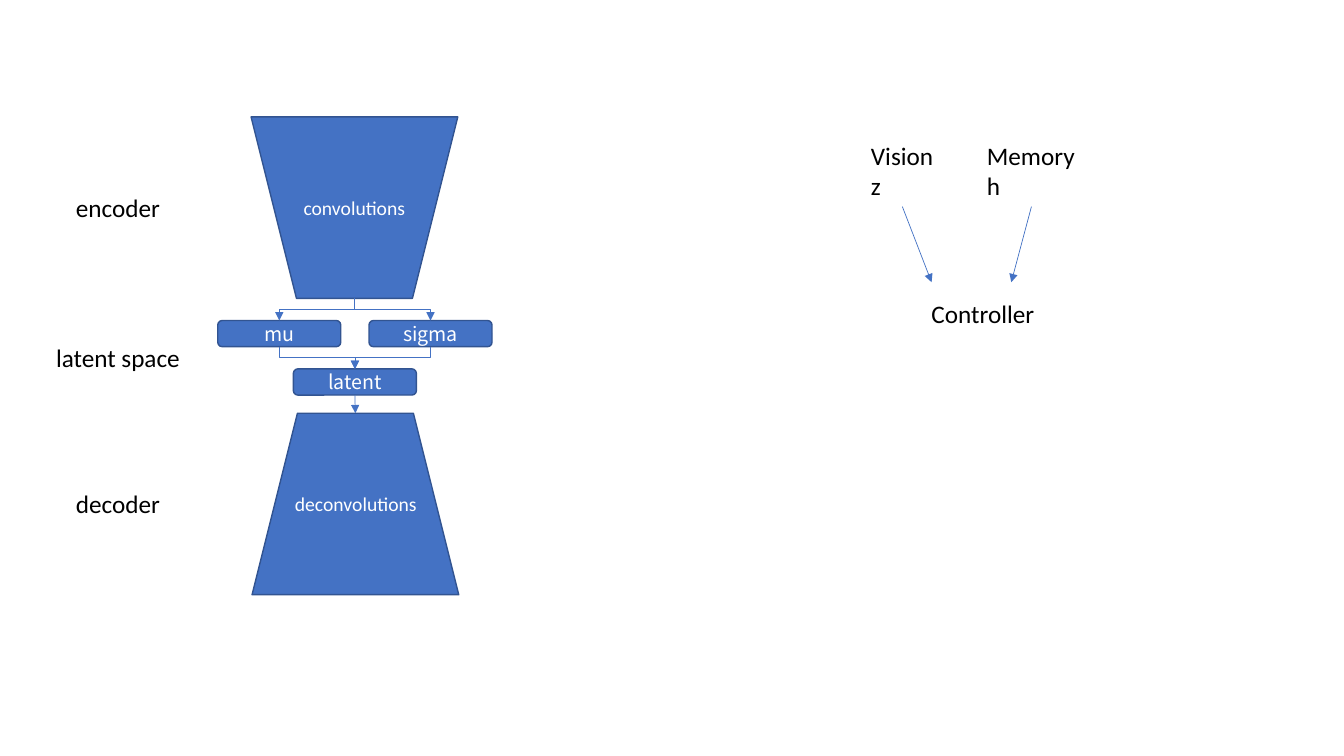
import dataclasses

import lxml.etree
import pptx
import pptx.dml.color
import pptx.enum.shapes
import pptx.enum.text
import pptx.oxml.ns
import pptx.util

Inches = pptx.util.Inches
ShapeKind = pptx.enum.shapes.MSO_SHAPE
ConnectorKind = pptx.enum.shapes.MSO_CONNECTOR
Align = pptx.enum.text.PP_ALIGN
TOP, BOTTOM = 0, 2


def color(value):
    return pptx.dml.color.RGBColor.from_string(value)


@dataclasses.dataclass
class Theme:
    fill = color("4472C4")
    outline = color("325491")
    light = color("FFFFFF")
    dark = color("000000")
    font = "Calibri"
    box_font = "Noto Sans CJK JP"
    label_size = pptx.util.Pt(18)
    shape_size = pptx.util.Pt(14)
    outline_width = pptx.util.Pt(1)
    arrow_width = pptx.util.Pt(0.5)


class DiagramSlide:
    def __init__(self, presentation, theme):
        self.theme = theme
        self.slide = presentation.slides.add_slide(presentation.slide_layouts[6])

    def set_text(self, shape, text, font, size, text_color, alignment):
        shape.text_frame.text = text
        for paragraph in shape.text_frame.paragraphs:
            paragraph.alignment = alignment
            for run in paragraph.runs:
                run.font.name = font
                run.font.size = size
                run.font.color.rgb = text_color

    def filled(self, shapes, kind, left, top, width, height, outlined=True):
        shape = shapes.add_shape(kind, Inches(left), Inches(top), Inches(width), Inches(height))
        shape.shadow.inherit = False
        shape.fill.solid()
        shape.fill.fore_color.rgb = self.theme.fill
        if outlined:
            shape.line.color.rgb = self.theme.outline
            shape.line.width = self.theme.outline_width
        else:
            shape.line.fill.background()
        return shape

    def box(self, text, left, top, width, height, font, shapes=None, outlined=True):
        shapes = shapes or self.slide.shapes
        shape = self.filled(shapes, ShapeKind.ROUNDED_RECTANGLE, left, top, width, height, outlined)
        shape.text_frame.word_wrap = True
        shape.text_frame.vertical_anchor = pptx.enum.text.MSO_ANCHOR.MIDDLE
        self.set_text(shape, text, font, self.theme.shape_size, self.theme.light, Align.CENTER)
        return shape

    def network(self, text, left, top, label_left, label_width, rotation=0):
        group = self.slide.shapes.add_group_shape()
        trapezoid = self.filled(group.shapes, ShapeKind.TRAPEZOID, left, top, 2.05, 1.8)
        trapezoid.rotation = rotation
        self.box(text, label_left, top + 0.66, label_width, 0.48, self.theme.font, group.shapes, False)
        return trapezoid

    def label(self, text, left, top, width, height, alignment=Align.LEFT, wrap=True):
        shape = self.slide.shapes.add_textbox(Inches(left), Inches(top), Inches(width), Inches(height))
        shape.text_frame.word_wrap = wrap
        shape.text_frame.auto_size = pptx.enum.text.MSO_AUTO_SIZE.SHAPE_TO_FIT_TEXT
        self.set_text(shape, text, self.theme.font, self.theme.label_size, self.theme.dark, alignment)

    def arrow(self, start, end, kind=ConnectorKind.STRAIGHT):
        connector = self.slide.shapes.add_connector(kind, *start, *end)
        connector.line.color.rgb = self.theme.fill
        connector.line.width = self.theme.arrow_width
        properties = connector._element.spPr
        line = properties.find(pptx.oxml.ns.qn("a:ln"))
        lxml.etree.SubElement(line, pptx.oxml.ns.qn("a:tailEnd"), type="triangle")
        lxml.etree.SubElement(properties, pptx.oxml.ns.qn("a:effectLst"))
        return connector

    def join(self, source, target, kind=ConnectorKind.STRAIGHT):
        start = source.left + source.width // 2, source.top + source.height
        end = target.left + target.width // 2, target.top
        connector = self.arrow(start, end, kind)
        connector.begin_connect(source, TOP if source.rotation else BOTTOM)
        connector.end_connect(target, TOP)
        if kind == ConnectorKind.ELBOW:
            self.turn_downwards(connector, start, end)

    def turn_downwards(self, connector, start, end):
        across, down = end[0] - start[0], end[1] - start[1]
        connector.width, connector.height = down, abs(across)
        connector.left = (start[0] + end[0] - down) // 2
        connector.top = (start[1] + end[1] - abs(across)) // 2
        transform = connector._element.spPr.find(pptx.oxml.ns.qn("a:xfrm"))
        transform.set("rot", str((270 if across > 0 else 90) * 60000))
        transform.set("flipH", "1" if across > 0 else "0")
        transform.set("flipV", "0")


def main():
    presentation = pptx.Presentation()
    presentation.slide_width = Inches(13.33)
    presentation.slide_height = Inches(7.5)
    theme = Theme()
    diagram = DiagramSlide(presentation, theme)

    encoder = diagram.network("convolutions", 2.49, 1.16, 2.79, 1.45, 180)
    decoder = diagram.network("deconvolutions", 2.5, 4.1, 2.78, 1.5)
    latent, mu, sigma = [
        diagram.box(text, left, top, 1.22, 0.26, theme.box_font)
        for text, left, top in (("latent", 2.91, 3.66), ("mu", 2.16, 3.18), ("sigma", 3.66, 3.18))
    ]
    for source, target in ((encoder, mu), (encoder, sigma), (mu, latent), (sigma, latent)):
        diagram.join(source, target, ConnectorKind.ELBOW)
    diagram.join(latent, decoder)

    for text, top in (("encoder", 1.86), ("latent space", 3.35), ("decoder", 4.8)):
        diagram.label(text, 0.29, top, 1.76, 0.4, Align.CENTER)

    diagram.label("Controller", 9.14, 2.91, 3.59, 0.4)
    for text, left, width, start, end in (
        ("Vision\nz", 8.54, 0.83, 8.95, 9.24),
        ("Memory\nh", 9.69, 1.08, 10.23, 10.03),
    ):
        diagram.label(text, left, 1.34, width, 0.71, wrap=False)
        diagram.arrow((Inches(start), Inches(2.05)), (Inches(end), Inches(2.8)))

    presentation.save("out.pptx")


if __name__ == "__main__":
    main()
